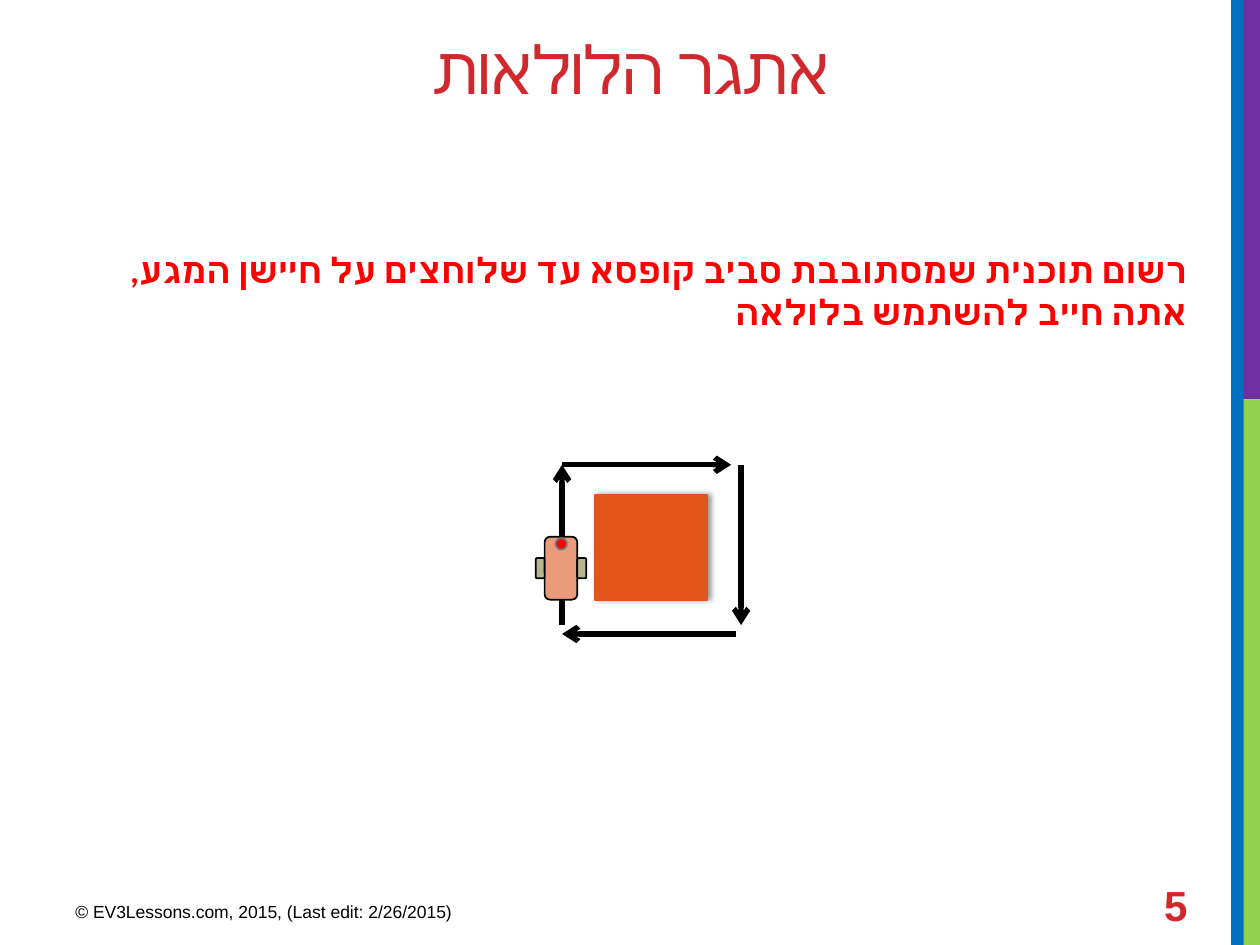
from lxml import etree
from pptx import Presentation
from pptx.dml.color import RGBColor
from pptx.enum import shapes as es, text as et
from pptx.oxml import ns
from pptx.util import Cm, Pt

GREEN = RGBColor(0x92, 0xD0, 0x50)
PURPLE = RGBColor(0x70, 0x30, 0xA0)
BLUE = RGBColor(0x00, 0x70, 0xC0)
CRIMSON = RGBColor(0xD1, 0x28, 0x2E)
RED = RGBColor(0xFF, 0x00, 0x00)
BLACK = RGBColor(0x00, 0x00, 0x00)
ORANGE = RGBColor(0xE5, 0x55, 0x1B)
RUST = RGBColor(0xDC, 0x55, 0x1F)
SALMON = RGBColor(0xEA, 0x9B, 0x7C)
KHAKI = RGBColor(0xB6, 0xB5, 0x90)
GRAY = RGBColor(0x77, 0x77, 0x77)

RECT = es.MSO_SHAPE.RECTANGLE
ROUND = es.MSO_SHAPE.ROUNDED_RECTANGLE
OVAL = es.MSO_SHAPE.OVAL


def sub(parent, tag, **attrs):
    """Add an XML child and return it."""
    return etree.SubElement(parent, ns.qn(tag), attrs)


def block(parent, kind, box, fill, edge=None):
    """A filled preset shape, outlined when an edge colour is given."""
    shape = parent.add_shape(kind, *map(Cm, box))
    shape.shadow.inherit = False
    shape.fill.solid()
    shape.fill.fore_color.rgb = fill
    if edge is None:
        shape.line.fill.background()
    else:
        shape.line.color.rgb = edge
        shape.line.width = Pt(1)
    return shape


def label(slide, box, words, face, size, color, bold=False, align=None,
          rtl=False, middle=False):
    """One paragraph in a text box; returns the paragraph and its run."""
    frame = slide.shapes.add_textbox(*map(Cm, box)).text_frame
    frame.word_wrap = True
    if middle:
        frame.vertical_anchor = et.MSO_ANCHOR.MIDDLE
    para = frame.paragraphs[0]
    para.alignment = align
    run = para.add_run()
    run.text = words
    font = run.font
    font.name, font.size, font.bold = face, Pt(size), bold
    font.color.rgb = color
    if rtl:
        para._p.get_or_add_pPr().set("rtl", "1")
        sub(run._r.get_or_add_rPr(), "a:cs", typeface=face)
    return para, run


def stripes(slide, box):
    """Coloured bars down the right edge."""
    x, y, w, h = box
    cut = 8.05
    block(slide.shapes, RECT, (x + 0.2, y + cut, w - 0.2, h - cut), GREEN)
    block(slide.shapes, RECT, (x + 0.1, y, w - 0.1, cut), PURPLE)
    block(slide.shapes, RECT, (x, y, 0.25, h), BLUE)


def heading(slide, box):
    _, run = label(slide, box, "אתגר הלולאות", "Calibri", 38, CRIMSON,
                   align=et.PP_ALIGN.CENTER, rtl=True)
    run._r.get_or_add_rPr().set("spc", "-60")


def task(slide, box):
    words = ("רשום תוכנית שמסתובבת סביב קופסא עד שלוחצים על חיישן המגע, "
             "אתה חייב להשתמש בלולאה")
    para, _ = label(slide, box, words, "Calibri", 20, RED, bold=True,
                    align=et.PP_ALIGN.RIGHT, rtl=True)
    para.space_after = Pt(6)


def footer(slide, box):
    x, y, w, h = box
    label(slide, (x, y + 0.3, 9.53, 0.79),
          "© EV3Lessons.com, 2015, (Last edit: 2/26/2015)",
          "Arial", 10, BLACK)
    label(slide, (x + w - 1.65, y, 1.65, 1.02), "5", "Arial", 24, CRIMSON,
          bold=True, middle=True)


def arrow(slide, start, end):
    line = slide.shapes.add_connector(
        es.MSO_CONNECTOR.STRAIGHT, *map(Cm, start + end))
    line.line.color.rgb = BLACK
    line.line.width = Pt(3)
    sub(line.line._get_or_add_ln(), "a:tailEnd", type="arrow")
    sub(line._element.spPr, "a:effectLst")


def course(slide, box):
    """The crate and the four arrows that go round it."""
    x, y, w, h = box
    crate = block(slide.shapes, RECT, (x + 0.66, y + 0.61, 2.26, 2.11),
                  ORANGE, RUST)
    glow = sub(crate._element.spPr.find(ns.qn("a:effectLst")), "a:outerShdw",
               blurRad=str(Pt(3.1)), dist=str(Pt(1.8)), dir="0",
               algn="ctr", rotWithShape="0")
    sub(sub(glow, "a:srgbClr", val=str(BLACK)), "a:alpha", val="40000")

    right, low, foot = x + w, y + h, y + h - 0.18
    legs = [((x, foot), (x, y)),
            ((x, y), (right - 0.2, y)),
            ((right, y), (right, foot)),
            ((right - 0.1, low), (x, low))]
    for start, end in legs:
        arrow(slide, start, end)


def robot(slide, box):
    """Body, two wheels and the touch sensor, grouped."""
    x, y, w, h = box
    wheel = 0.18
    parts = slide.shapes.add_group_shape().shapes
    block(parts, ROUND, (x + wheel, y, w - 2 * wheel, h), SALMON, BLACK)
    for left in (x + w - wheel, x):
        block(parts, ROUND, (left, y + 0.43, wheel, 0.41), KHAKI, BLACK)
    block(parts, OVAL, (x + 0.4, y + 0.03, 0.23, 0.23), RED, GRAY)


def main():
    deck = Presentation()
    deck.slide_width, deck.slide_height = Cm(25.4), Cm(19.05)
    slide = deck.slides.add_slide(deck.slide_layouts[6])
    stripes(slide, (24.82, 0, 0.58, 19.05))
    heading(slide, (1.27, 0.43, 22.91, 3.81))
    task(slide, (1.27, 4.88, 22.91, 12.14))
    footer(slide, (1.27, 17.73, 23.6, 1.09))
    course(slide, (11.33, 9.37, 3.61, 3.41))
    robot(slide, (10.8, 10.82, 1.02, 1.27))
    deck.save("out.pptx")


if __name__ == "__main__":
    main()
